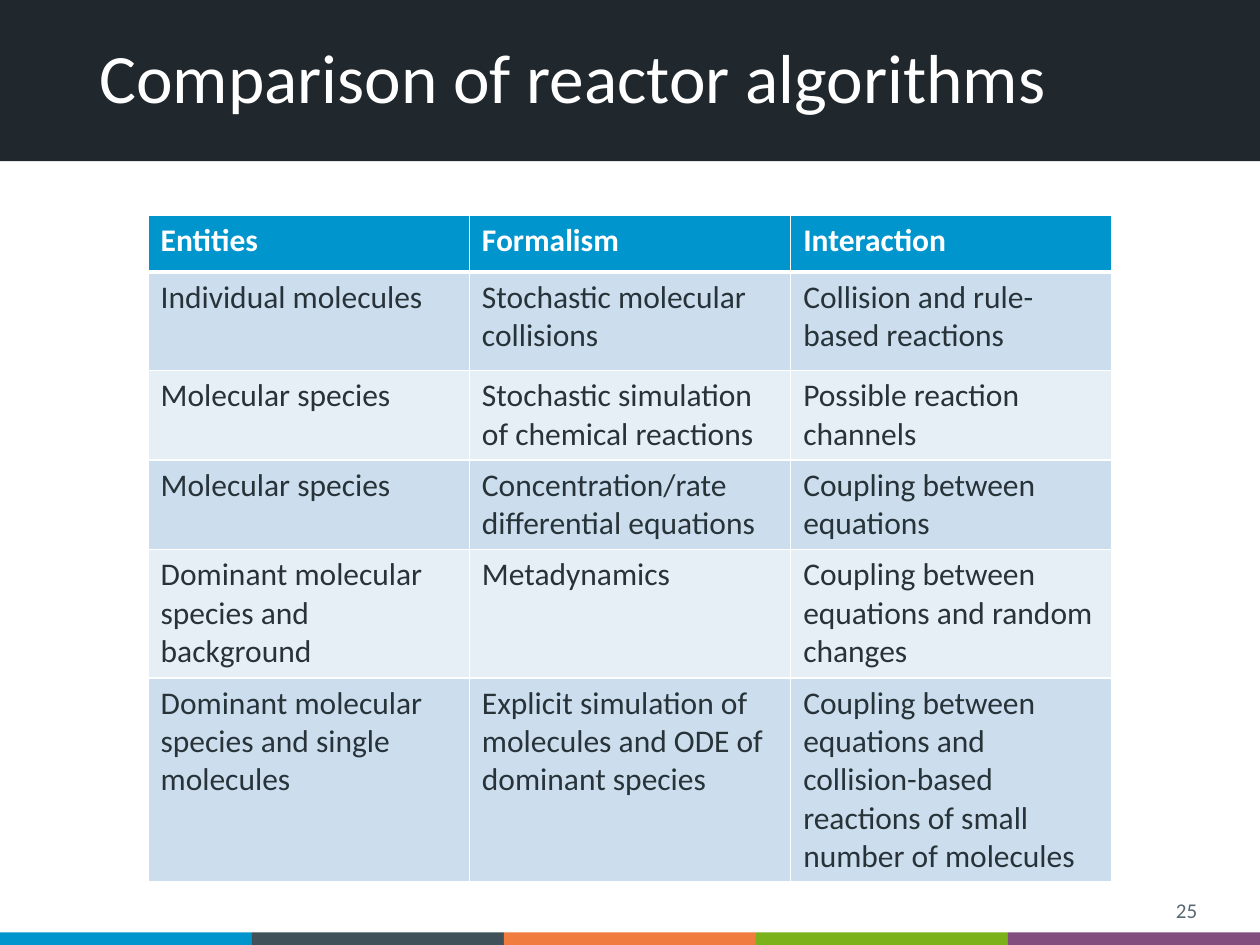
from lxml.etree import SubElement
from pptx import Presentation
from pptx.dml.color import RGBColor
from pptx.enum.shapes import MSO_SHAPE as Shape
from pptx.enum.text import MSO_ANCHOR as Anchor, PP_ALIGN as Align
from pptx.oxml.ns import qn
from pptx.util import Inches, Pt

# Content
TITLE = "Comparison of reactor algorithms"
PAGE = "25"
ROWS = [
    ("Entities", "Formalism", "Interaction"),
    ("Individual molecules", "Stochastic molecular collisions",
     "Collision and rule-based reactions"),
    ("Molecular species", "Stochastic simulation of chemical reactions",
     "Possible reaction channels"),
    ("Molecular species", "Concentration/rate differential equations",
     "Coupling between equations"),
    ("Dominant molecular species and background", "Metadynamics",
     "Coupling between equations and random changes"),
    ("Dominant molecular species and single molecules",
     "Explicit simulation of molecules and ODE of dominant species",
     "Coupling between equations and collision-based reactions of small "
     "number of molecules"),
]

# Layout and colours
W, H = 10, 7.5
ROW_H = [0.45, 0.78, 0.71, 0.71, 1.02, 1.62]
COL_W = 2.55
STRIPES = ["0095CD", "40515A", "F17C3F", "7BB21B", "814E7E"]
STRIPE_H = 0.1
WHITE, DARK, GREY, BAND = "FFFFFF", "20282D", "576973", ["E7EFF6", "CCDDED"]
INK, HEAD = "273339", "0095CD"


def rgb(value):
    return RGBColor.from_string(value)


def add_bar(s, x, y, w, h, color):
    sp = s.shapes.add_shape(Shape.RECTANGLE, *map(Inches, (x, y, w, h)))
    sp.shadow.inherit = False
    sp.fill.solid()
    sp.fill.fore_color.rgb = rgb(color)
    sp.line.fill.background()


def write(tf, text, size, color, bold=False):
    tf.word_wrap = True
    p = tf.paragraphs[0]
    r = p.add_run()
    r.text = text
    r.font.name, r.font.size, r.font.bold = "Calibri", Pt(size), bold
    r.font.color.rgb = rgb(color)
    return p


def add_text(s, x, y, w, h, *style):
    tf = s.shapes.add_textbox(*map(Inches, (x, y, w, h))).text_frame
    tf.vertical_anchor = Anchor.MIDDLE
    return write(tf, *style)


def add_borders(cell, color, **widths):
    tc_pr = cell._tc.get_or_add_tcPr()
    for side in "LRTB":
        ln = SubElement(tc_pr, qn(f"a:ln{side}"), w=str(Pt(widths.get(side, 1))))
        fill = SubElement(ln, qn("a:solidFill"))
        SubElement(fill, qn("a:srgbClr"), val=color)


prs = Presentation()
prs.slide_width, prs.slide_height = Inches(W), Inches(H)
s = prs.slides.add_slide(prs.slide_layouts[6])

# Title band and footer stripes
add_bar(s, 0, 0, W, 1.28, DARK)
stripe_w = W / len(STRIPES)
for i, color in enumerate(STRIPES):
    add_bar(s, i * stripe_w, H - STRIPE_H, stripe_w, STRIPE_H, color)

# Title and page number
p = add_text(s, 0.69, 0.27, 8.62, 0.74, TITLE, 39.6, WHITE)
p.line_spacing = 0.9
p = add_text(s, 7.35, 7.07, 2.25, 0.31, PAGE, 12, GREY)
p.alignment = Align.RIGHT

# Comparison table
n_cols = len(ROWS[0])
table_w = n_cols * COL_W
table = s.shapes.add_table(
    len(ROWS), n_cols, Inches((W - table_w) / 2), Inches(1.71),
    Inches(table_w), Inches(sum(ROW_H))).table
for col in table.columns:
    col.width = Inches(COL_W)
for i, (texts, height) in enumerate(zip(ROWS, ROW_H)):
    table.rows[i].height = Inches(height)
    head = i == 0
    for j, text in enumerate(texts):
        cell = table.cell(i, j)
        add_borders(cell, WHITE, T=3 if i == 1 else 1, B=3 if head else 1)
        cell.fill.solid()
        cell.fill.fore_color.rgb = rgb(HEAD if head else BAND[i % 2])
        write(cell.text_frame, text, 18, WHITE if head else INK, head)

prs.save("out.pptx")
